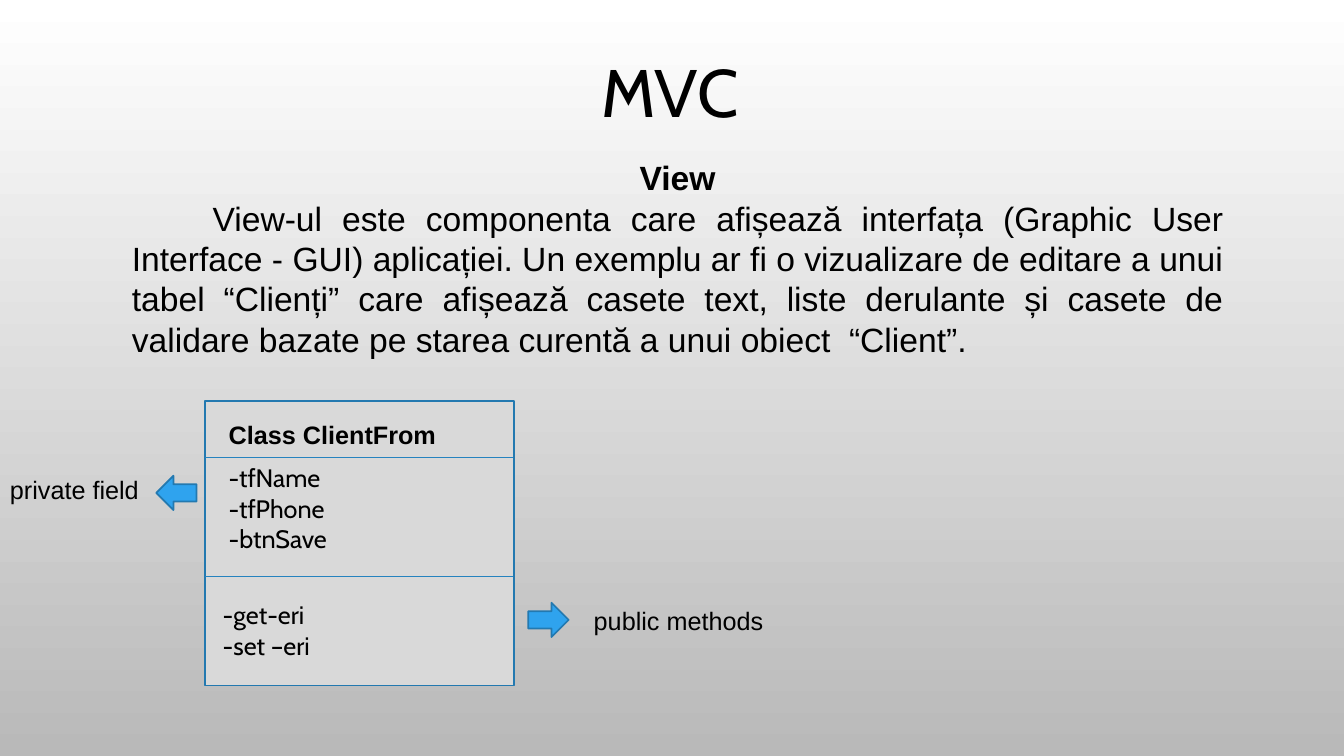
from dataclasses import dataclass

import pptx
import pptx.dml.color
import pptx.enum.shapes
import pptx.enum.text
import pptx.util

PX = 9144
SHAPES = pptx.enum.shapes.MSO_SHAPE
ALIGN = pptx.enum.text.PP_ALIGN
ANCHOR = pptx.enum.text.MSO_ANCHOR
BLUE_EDGE = "2379B0"


@dataclass
class Line:
    text: str
    align: ALIGN = ALIGN.LEFT
    bold: bool = False
    indent: int = 0


@dataclass
class Label:
    left: int
    top: int
    width: int
    height: int
    lines: list[Line]
    font: str = "Arial"
    size: int = 18
    anchor: ANCHOR = ANCHOR.TOP
    spacing: float = 1.0


@dataclass
class Block:
    preset: SHAPES
    left: int
    top: int
    width: int
    height: int
    fill: str
    rotation: int = 0


def color(value: str) -> pptx.dml.color.RGBColor:
    return pptx.dml.color.RGBColor.from_string(value)


def paint_background(page: pptx.slide.Slide) -> None:
    fill = page.background.fill
    fill.gradient()
    fill.gradient_angle = 270
    for stop, shade in zip(fill.gradient_stops, ("FFFFFF", "B9B9B9")):
        stop.color.rgb = color(shade)


def draw_label(page: pptx.slide.Slide, label: Label) -> None:
    box = page.shapes.add_textbox(
        label.left * PX, label.top * PX, label.width * PX, label.height * PX
    )
    frame = box.text_frame
    frame.word_wrap = True
    frame.vertical_anchor = label.anchor
    for index, line in enumerate(label.lines):
        para = frame.paragraphs[0] if index == 0 else frame.add_paragraph()
        para.alignment = line.align
        para.line_spacing = label.spacing
        if line.indent:
            para._p.get_or_add_pPr().set("indent", str(line.indent * PX))
        span = para.add_run()
        span.text = line.text
        span.font.name = label.font
        span.font.size = pptx.util.Pt(label.size)
        span.font.bold = line.bold
        span.font.color.rgb = color("000000")


def draw_block(page: pptx.slide.Slide, block: Block) -> None:
    shape = page.shapes.add_shape(
        block.preset, block.left * PX, block.top * PX, block.width * PX, block.height * PX
    )
    shape.shadow.inherit = False
    shape.rotation = block.rotation
    shape.fill.solid()
    shape.fill.fore_color.rgb = color(block.fill)
    shape.line.color.rgb = color(BLUE_EDGE)
    shape.line.width = pptx.util.Pt(1.25)


def draw_divider(page: pptx.slide.Slide, left: int, right: int, top: int) -> None:
    divider = page.shapes.add_connector(
        pptx.enum.shapes.MSO_CONNECTOR.STRAIGHT, left * PX, top * PX, right * PX, top * PX
    )
    divider.line.color.rgb = color("2683BF")
    divider.line.width = pptx.util.Pt(0.75)
    properties = divider._element.spPr
    properties.append(properties.makeelement(pptx.oxml.ns.qn("a:effectLst"), {}))


DESCRIPTION = (
    "View-ul este componenta care afișează interfața (Graphic User Interface - GUI) "
    "aplicației. Un exemplu ar fi o vizualizare de editare a unui tabel “Clienți” care "
    "afișează casete text, liste derulante și casete de validare bazate pe starea "
    "curentă a unui obiect  “Client”."
)
CLASS_BOX = Block(SHAPES.RECTANGLE, 203, 398, 307, 282, "D9D9D9")
ARROWS = [
    Block(SHAPES.RIGHT_ARROW, 524, 598, 40, 34, "2FA3EE"),
    Block(SHAPES.RIGHT_ARROW, 155, 472, 40, 34, "2FA3EE", 180),
]
LABELS = [
    Label(98, 41, 1133, 95, [Line("MVC", ALIGN.CENTER)], "Cabin", 48, ANCHOR.BOTTOM, 0.9),
    Label(
        121, 151, 1102, 212,
        [Line("View", ALIGN.CENTER, True), Line(DESCRIPTION, ALIGN.JUSTIFY, indent=80)],
        size=24,
    ),
    Label(217, 411, 272, 40, [Line("Class ClientFrom", bold=True)]),
    Label(217, 454, 271, 101, [Line("-tfName"), Line("-tfPhone"), Line("-btnSave")], "Cabin"),
    Label(211, 590, 279, 71, [Line("-get-eri"), Line("-set –eri")], "Cabin"),
    Label(0, 466, 179, 40, [Line("private field")]),
    Label(579, 596, 209, 40, [Line("public methods")]),
]


def main() -> None:
    deck = pptx.Presentation()
    deck.slide_width = 1333 * PX
    deck.slide_height = 750 * PX
    page = deck.slides.add_slide(deck.slide_layouts[6])
    paint_background(page)
    draw_block(page, CLASS_BOX)
    for top in (454, 572):
        draw_divider(page, 203, 509, top)
    for label in LABELS:
        draw_label(page, label)
    for arrow in ARROWS:
        draw_block(page, arrow)
    deck.save("out.pptx")


if __name__ == "__main__":
    main()
